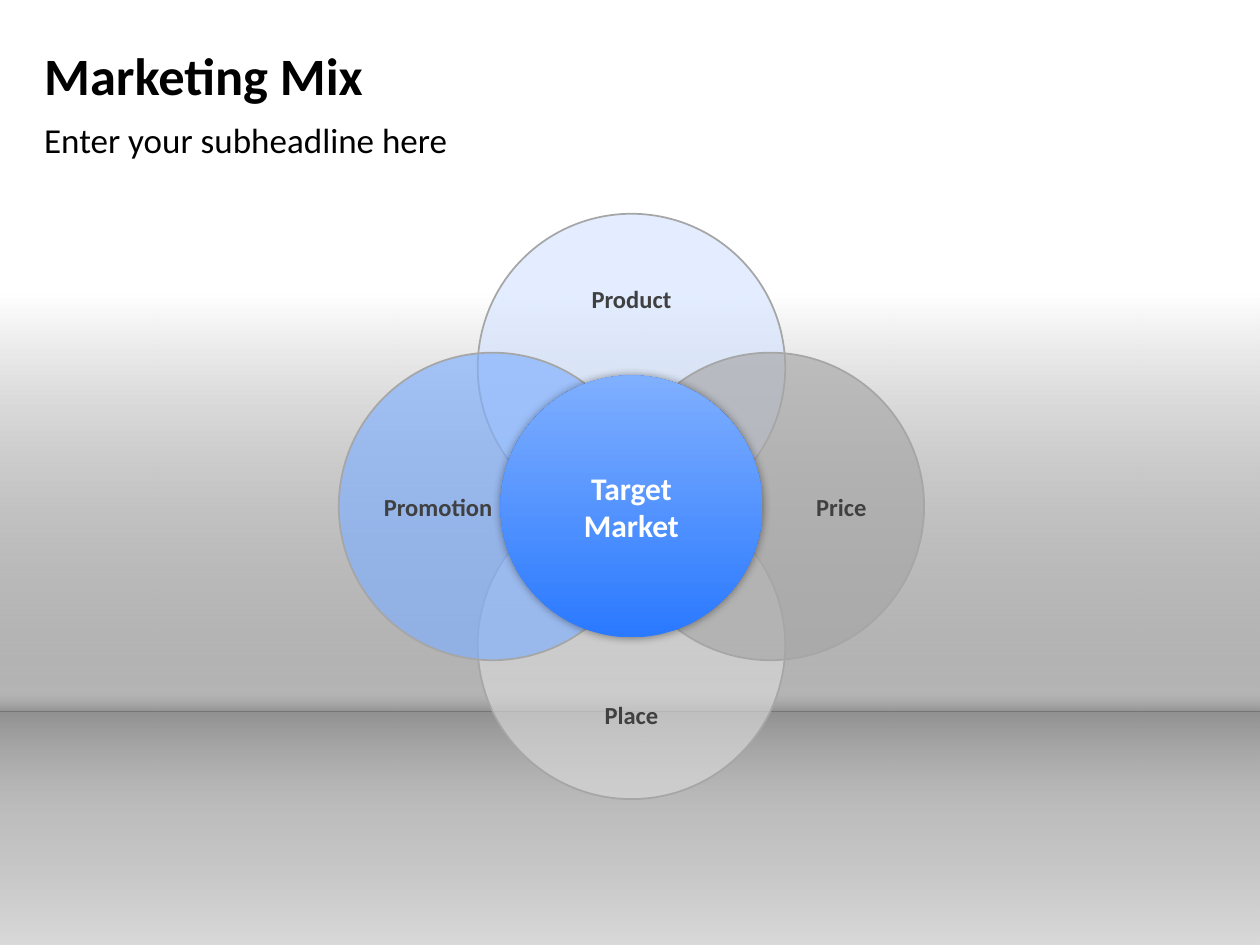
"""Builds the Marketing Mix slide: four overlapping circles around a target market."""
from dataclasses import dataclass

from lxml import etree
from pptx import Presentation
from pptx import util as u
from pptx.dml.color import RGBColor
from pptx.enum import shapes, text
from pptx.oxml.ns import qn

CENTER_X, CENTER_Y = 12.73, 10.21
PETAL_SIZE, CORE_SIZE, PETAL_OFFSET = 6.2, 5.28, 2.8
ALIGN, ANCHOR = text.PP_ALIGN, text.MSO_ANCHOR
UP, DOWN = 90, 270


@dataclass
class Band:
    top: float
    height: float
    opacities: tuple
    angle: int


@dataclass
class Petal:
    label: str
    color: str
    dx: int
    dy: int
    align: int
    anchor: int
    insets: tuple = (0.25, 0.13, 0.25, 0.13)
    wrap: bool = True


WALL = Band(5.92, 13.13, (15, 100), UP)
HORIZON = [
    Band(14.35, 2.72, (20, 0), DOWN),
    Band(13.82, 0.53, (20, 0), UP),
]
PETALS = [
    Petal("Product", "D4E4FF", 0, -1, ALIGN.CENTER, ANCHOR.TOP, (0.25, 0.5, 0.25, 0.13)),
    Petal("Place", "D9D9D9", 0, 1, ALIGN.CENTER, ANCHOR.BOTTOM, (0.25, 0.13, 0.25, 0.5)),
    Petal("Price", "A6A6A6", 1, 0, ALIGN.RIGHT, ANCHOR.MIDDLE),
    Petal("Promotion", "7FAFFF", -1, 0, ALIGN.LEFT, ANCHOR.MIDDLE, (0, 0.13, 0.25, 0.13), False),
]


def rgb(color: str) -> RGBColor:
    return RGBColor.from_string(color)


def set_opacity(color_element, percent: int) -> None:
    etree.SubElement(color_element, qn("a:alpha"), val=str(percent * 1000))


def add_plain(container, kind, left: float, top: float, width: float, height: float):
    shape = container.add_shape(kind, *map(u.Cm, (left, top, width, height)))
    shape.shadow.inherit = False
    return shape


def add_circle(container, x: float, y: float, size: float):
    return add_plain(container, shapes.MSO_SHAPE.OVAL, x - size / 2, y - size / 2, size, size)


def fill_gradient(shape, colors: tuple, angle: int, opacities: tuple = (100, 100)) -> None:
    shape.fill.gradient()
    shape.fill.gradient_angle = angle
    for stop, color in zip(shape.fill.gradient_stops, colors):
        stop.color.rgb = rgb(color)
    for element, percent in zip(shape._element.spPr.iter(qn("a:srgbClr")), opacities):
        set_opacity(element, percent)
    shape.line.fill.background()


def write(shape, words: str, size: int, color: str, bold: bool, align: int,
          anchor: int, insets: tuple, wrap: bool = True) -> None:
    frame = shape.text_frame
    frame.text = words
    sides = ("margin_left", "margin_top", "margin_right", "margin_bottom")
    frame_format = {"auto_size": text.MSO_AUTO_SIZE.NONE, "word_wrap": wrap,
                    "vertical_anchor": anchor, **dict(zip(sides, map(u.Cm, insets)))}
    for name, value in frame_format.items():
        setattr(frame, name, value)
    paragraph = frame.paragraphs[0]
    paragraph.alignment = align
    for run in paragraph.runs:
        for name, value in {"name": "Calibri", "size": u.Pt(size), "bold": bold}.items():
            setattr(run.font, name, value)
        run.font.color.rgb = rgb(color)


def draw_band(container, band: Band) -> None:
    strip = add_plain(container, shapes.MSO_SHAPE.RECTANGLE, 0, band.top, 25.4, band.height)
    fill_gradient(strip, ("000000", "FFFFFF"), band.angle, band.opacities)


def draw_petal(container, petal: Petal) -> None:
    circle = add_circle(container, CENTER_X + petal.dx * PETAL_OFFSET,
                        CENTER_Y + petal.dy * PETAL_OFFSET, PETAL_SIZE)
    circle.fill.solid()
    circle.fill.fore_color.rgb = rgb(petal.color)
    set_opacity(next(circle._element.spPr.iter(qn("a:srgbClr"))), 65)
    circle.line.color.rgb = rgb("A6A6A6")
    circle.line.width = u.Pt(1)
    write(circle, petal.label, 14, "404040", True, petal.align, petal.anchor,
          petal.insets, petal.wrap)


def draw_core(container) -> None:
    core = add_circle(container, CENTER_X, CENTER_Y, CORE_SIZE)
    fill_gradient(core, ("2A79FF", "7FAFFF"), UP)
    effects = core._element.spPr.find(qn("a:effectLst"))
    shadow = etree.SubElement(effects, qn("a:outerShdw"), blurRad=str(u.Pt(5)),
                              dist="0", dir="0", algn="ctr", rotWithShape="0")
    set_opacity(etree.SubElement(shadow, qn("a:srgbClr"), val="000000"), 40)
    write(core, "Target\vMarket", 18, "FFFFFF", True, ALIGN.CENTER, ANCHOR.MIDDLE,
          (0.25, 0.13, 0.25, 0.13))


def main() -> None:
    deck = Presentation()
    deck.slide_width, deck.slide_height = u.Cm(25.4), u.Cm(19.05)
    slide = deck.slides.add_slide(deck.slide_layouts[5])

    draw_band(slide.shapes, WALL)
    horizon = slide.shapes.add_group_shape().shapes
    for band in HORIZON:
        draw_band(horizon, band)

    title = slide.shapes.title
    place = {"left": 0.89, "top": 0.66, "width": 23.6, "height": 1.7}
    for name, value in place.items():
        setattr(title, name, u.Cm(value))
    write(title, "Marketing Mix", 30, "000000", True, ALIGN.LEFT, ANCHOR.MIDDLE, (0,) * 4)
    subheadline = slide.shapes.add_textbox(*map(u.Cm, (0.89, 2.39, 23.6, 0.94)))
    write(subheadline, "Enter your subheadline here", 20, "000000", False,
          ALIGN.LEFT, ANCHOR.TOP, (0,) * 4)

    mix = slide.shapes.add_group_shape().shapes
    for petal in PETALS:
        draw_petal(mix, petal)
    draw_core(mix)
    deck.save("out.pptx")


if __name__ == "__main__":
    main()
